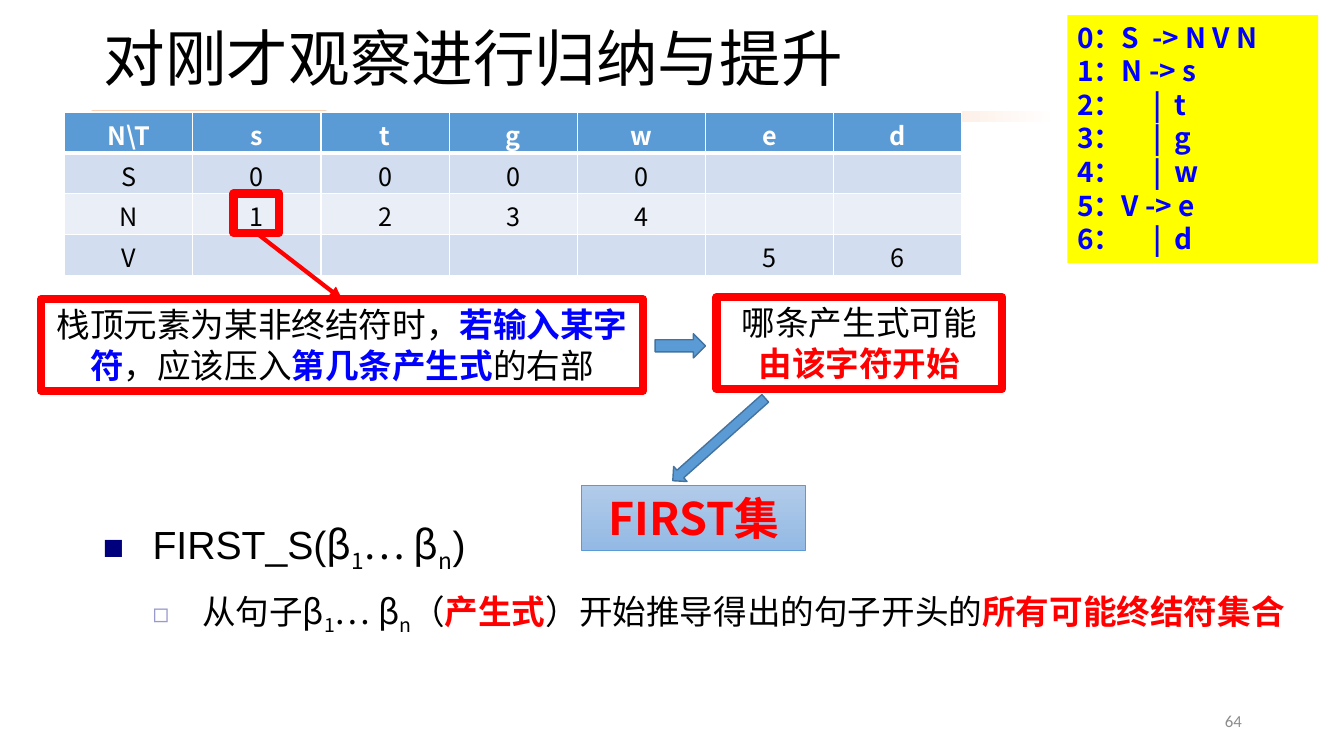
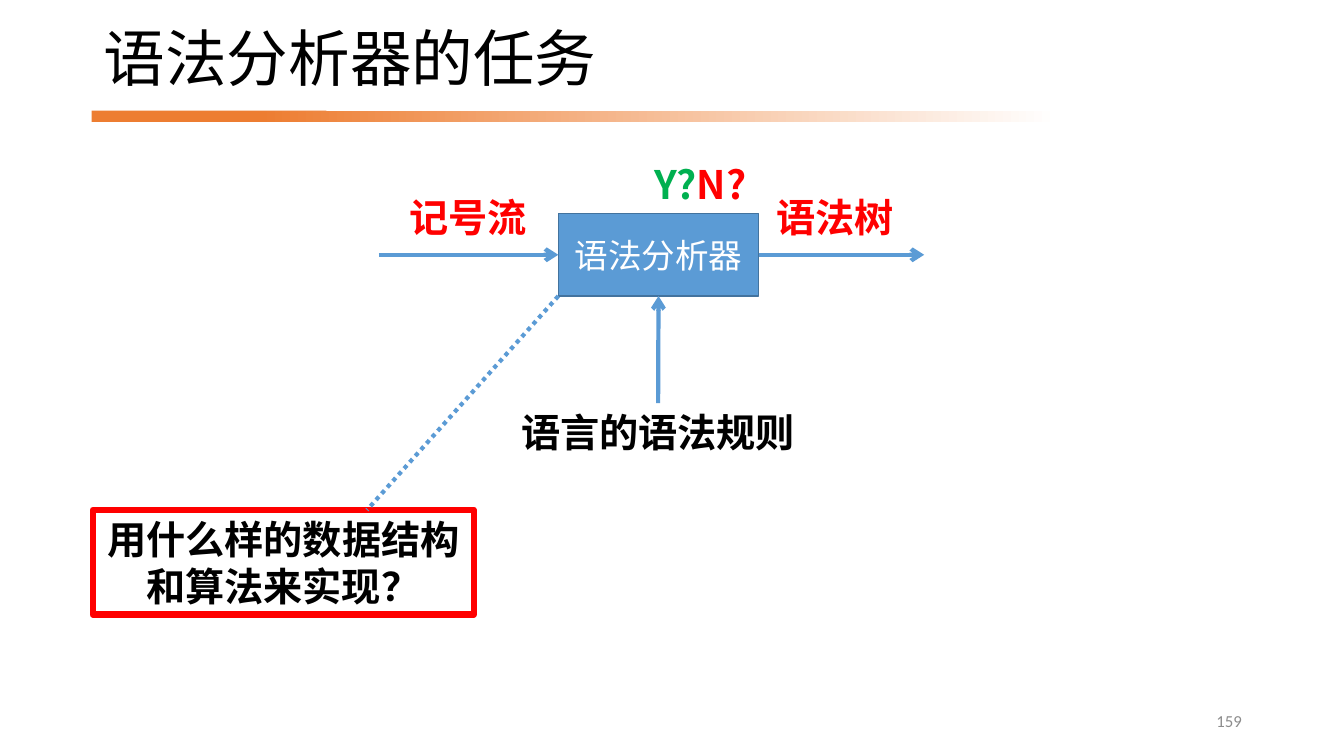
from lxml import etree
from pptx import Presentation
from pptx.dml.color import RGBColor
from pptx.enum.dml import MSO_LINE_DASH_STYLE as Dash
from pptx.enum.shapes import MSO_CONNECTOR, MSO_SHAPE as Preset
from pptx.enum.text import MSO_ANCHOR as Anchor, MSO_AUTO_SIZE as AutoSize, PP_ALIGN as Align
from pptx.oxml.ns import qn
from pptx.util import Cm, Pt

COLORS = {
    "black": "000000", "white": "FFFFFF", "red": "FF0000", "blue": "0000FF",
    "green": "00B050", "yellow": "FFFF00", "orange": "ED7D31", "gray": "8C8C8C",
    "accent": "5B9BD5", "accent_dark": "43739E", "row_dark": "D2DEEF", "row_light": "EAEFF7",
    "sky_top": "B1CBE9", "sky_bottom": "93B9E4", "navy": "00007D", "lavender": "9999CC",
}
RGB = {name: RGBColor.from_string(value) for name, value in COLORS.items()}
CJK = "Noto Sans CJK SC"


def write(paragraph, pieces, size, color="black", bold=False, font=CJK,
          align=Align.CENTER, spacing=None):
    """Fill a paragraph with (text, options) runs; options override the defaults."""
    paragraph.alignment = align
    paragraph.line_spacing = spacing or Pt(round(size * 1.2, 1))
    for text, options in pieces:
        run = paragraph.add_run()
        run.text = text
        run.font.size = Pt(size)
        run.font.bold = options.get("bold", bold)
        run.font.color.rgb = RGB[options.get("color", color)]
        run.font.name = options.get("font", font)
        properties = run.font._element
        etree.SubElement(properties, qn("a:ea")).set("typeface", CJK)
        if options.get("subscript"):
            properties.set("baseline", "-25000")


def add_box(slide, preset, place, fill=None, line=None, width=1):
    """Add a preset shape; a pair of fill colours makes a gradient."""
    shape = slide.shapes.add_shape(preset, *map(Cm, place))
    shape.shadow.inherit = False
    if isinstance(fill, tuple):
        shape.fill.gradient()
        for stop, color in zip(shape.fill.gradient_stops, fill):
            stop.color.rgb = RGB[color]
    elif fill:
        shape.fill.solid()
        shape.fill.fore_color.rgb = RGB[fill]
    else:
        shape.fill.background()
    if line:
        shape.line.color.rgb = RGB[line]
        shape.line.width = Pt(width)
    else:
        shape.line.fill.background()
    shape.text_frame.word_wrap = True
    shape.text_frame.vertical_anchor = Anchor.TOP
    return shape


presentation = Presentation()
presentation.slide_width, presentation.slide_height = Cm(33.87), Cm(19.05)

# Slides with title and number
slides = []
for layout_index, title_text, number in [
    (1, "对刚才观察进行归纳与提升", "64"),
    (5, "语法分析器的任务", "159"),
]:
    slide = presentation.slides.add_slide(presentation.slide_layouts[layout_index])
    title = slide.shapes.title
    title.left, title.top, title.width, title.height = map(Cm, (2.36, 0.43, 28.3, 2.26))
    title.text_frame.vertical_anchor = Anchor.MIDDLE
    write(title.text_frame.paragraphs[0], [(title_text, {})], 44, font="Arial",
          align=Align.LEFT, spacing=0.9)
    number_box = slide.shapes.add_textbox(*map(Cm, (23.93, 17.65, 7.62, 1.02)))
    number_box.text_frame.vertical_anchor = Anchor.MIDDLE
    number_box.text_frame.word_wrap = True
    write(number_box.text_frame.paragraphs[0], [(number, {})], 12, "gray",
          font="Calibri", align=Align.RIGHT)
    slides.append(slide)
first_set, parser_task = slides

# Title band, moved to the master behind its placeholders
solid_band = add_box(first_set, Preset.RECTANGLE, (2.31, 2.79, 5.92, 0.28), "orange")
fading_band = add_box(first_set, Preset.RECTANGLE, (6.53, 2.79, 20.12, 0.28), ("orange", "white"))
fading_band.fill.gradient_angle = 0
for position, band in enumerate((solid_band, fading_band), start=2):
    presentation.slide_master.shapes.element.insert(position, band.element)

# Slide 1: definition of the FIRST set
body = first_set.placeholders[1]
body.left, body.top, body.width, body.height = map(Cm, (2.34, 13.13, 30.89, 4.09))
body.text_frame.auto_size = AutoSize.NONE
beta_sequence = [("β", {}), ("1", {"subscript": True}), ("… β", {}), ("n", {"subscript": True})]
red_bold = {"color": "red", "bold": True}
blue_bold = {"color": "blue", "bold": True}
arial = {"font": "Arial"}
body_lines = [
    ([("FIRST_S(", arial), *beta_sequence, (")", arial)], 28, 34, 0, "■", "navy", 90),
    ([("从句子", arial), *beta_sequence, ("（", {}), ("产生式", red_bold), ("）", {}),
      ("开始推导得出的句子开头的", arial), ("所有可能终结符集合", red_bold)],
     24, 40, 5, "◻", "lavender", 80),
]
for level, (pieces, size, spacing, before, bullet, color, percent) in enumerate(body_lines):
    paragraph = body.text_frame.paragraphs[0] if level == 0 else body.text_frame.add_paragraph()
    paragraph.level = level
    paragraph.space_before = Pt(before)
    write(paragraph, pieces, size, align=Align.LEFT, spacing=Pt(spacing))
    properties = paragraph._p.get_or_add_pPr()
    properties.set("marL", str(Cm(1.25 * (level + 1))))
    properties.set("indent", str(-Cm(1.25)))
    bullet_color = etree.SubElement(properties, qn("a:buClr"))
    etree.SubElement(bullet_color, qn("a:srgbClr")).set("val", COLORS[color])
    etree.SubElement(properties, qn("a:buSzPct")).set("val", str(percent * 1000))
    etree.SubElement(properties, qn("a:buChar")).set("char", bullet)

# Slide 1: grammar
grammar = add_box(first_set, Preset.RECTANGLE, (26.9, 0.38, 6.32, 6.25), "yellow")
grammar.text_frame.text = """0：S  -> N V N
1：N -> s
2：     |  t
3：     |  g
4：     |  w
5：V -> e
6：     |  d"""
for paragraph in grammar.text_frame.paragraphs:
    rule = paragraph.text
    paragraph.clear()
    write(paragraph, [(rule, {})], 20, "blue", bold=True, align=Align.LEFT)

# Slide 1: parsing table
rows = [
    ["N\\T", "s", "t", "g", "w", "e", "d"],
    ["S", "0", "0", "0", "0", "", ""],
    ["N", "1", "2", "3", "4", "", ""],
    ["V", "", "", "", "", "5", "6"],
]
row_fills = ["accent", "row_dark", "row_light", "row_dark"]
column_width, row_height = 3.23, 1.03
table = first_set.shapes.add_table(
    len(rows), len(rows[0]), Cm(1.63), Cm(2.82),
    Cm(column_width * len(rows[0])), Cm(row_height * len(rows))).table
for column in table.columns:
    column.width = Cm(column_width)
for row_index, row in enumerate(rows):
    table.rows[row_index].height = Cm(row_height)
    header = row_index == 0
    for column_index, text in enumerate(row):
        cell = table.cell(row_index, column_index)
        cell.margin_top, cell.margin_bottom = Cm(0.26), Cm(0)
        write(cell.text_frame.paragraphs[0], [(text, {})] if text else [], 18,
              "white" if header else "black", bold=header)
        for side in ("L", "R", "T", "B"):
            thick = (header and side == "B") or (row_index == 1 and side == "T")
            border = etree.SubElement(cell._tc.get_or_add_tcPr(), qn(f"a:ln{side}"))
            border.set("w", str(Pt(3 if thick else 1)))
            border_fill = etree.SubElement(border, qn("a:solidFill"))
            etree.SubElement(border_fill, qn("a:srgbClr")).set("val", COLORS["white"])
        cell.fill.solid()
        cell.fill.fore_color.rgb = RGB[row_fills[row_index]]

# Slide 1: from table entry to FIRST set
entry_mark = add_box(first_set, Preset.RECTANGLE, (5.89, 4.88, 1.14, 0.99), line="red", width=6)
push_rule = add_box(first_set, Preset.RECTANGLE, (1.04, 7.54, 15.16, 2.31), line="red", width=6)
write(push_rule.text_frame.paragraphs[0], [
    ("栈顶元素为某非终结符时，", {}), ("若输入某字符", blue_bold), ("，应该压入", {}),
    ("第几条产生式", blue_bold), ("的右部", {})], 24)
add_box(first_set, Preset.RIGHT_ARROW, (16.51, 8.41, 1.27, 0.61), "accent", "accent_dark")
start_rule = add_box(first_set, Preset.RECTANGLE, (18.06, 7.49, 7.19, 2.31), line="red", width=6)
write(start_rule.text_frame.paragraphs[0],
      [("哪条产生式可能", {}), ("由该字符开始", red_bold)], 24)
first_box = add_box(first_set, Preset.RECTANGLE, (14.66, 12.24, 5.64, 1.63),
                    ("sky_top", "sky_bottom"), "accent", 0.5)
first_box.fill.gradient_angle = 270
write(first_box.text_frame.paragraphs[0], [("FIRST集", {})], 32, "red", bold=True)
down_arrow = add_box(first_set, Preset.RIGHT_ARROW, (16.56, 10.82, 3.12, 0.51),
                     "accent", "accent_dark")
down_arrow.rotation = 138.3

# Slide 2: parser, its labels and the question
parser = add_box(parser_task, Preset.RECTANGLE, (14.07, 5.38, 5.05, 2.08),
                 "accent", "accent_dark")
parser.text_frame.vertical_anchor = Anchor.MIDDLE
write(parser.text_frame.paragraphs[0], [("语法分析器", {})], 24, "white")
labels = []
for place, wrap, pieces in [
    ((9.88, 4.75, 3.84, 1.45), True, [("记号流", {"color": "red"})]),
    ((19.12, 4.75, 3.84, 1.45), True, [("语法树", {"color": "red"})]),
    ((16.18, 3.91, 2.95, 1.45), False, [("Y?", {"color": "green"}), ("N?", {"color": "red"})]),
    ((12.75, 10.16, 7.67, 1.45), True, [("语言的语法规则", {})]),
]:
    label = parser_task.shapes.add_textbox(*map(Cm, place))
    label.text_frame.word_wrap = wrap
    write(label.text_frame.paragraphs[0], pieces, 28, bold=True)
    labels.append(label)
grammar_label = labels[-1]
question = add_box(parser_task, Preset.RECTANGLE, (2.34, 12.85, 9.6, 2.64), line="red", width=4.5)
write(question.text_frame.paragraphs[0], [("用什么样的数据结构和算法来实现？", {})], 28, bold=True)

# Connectors: ends in cm, joined shapes with their sites, colour, arrowhead
for slide, ends, begin, end, color, head in [
    (first_set, (6.46, 5.87, 8.62, 7.54), (entry_mark, 2), (push_rule, 0), "red", "triangle"),
    (parser_task, (9.55, 6.42, 14.07, 6.42), None, (parser, 1), "accent", "arrow"),
    (parser_task, (19.12, 6.42, 23.29, 6.42), (parser, 3), None, "accent", "arrow"),
    (parser_task, (16.59, 10.16, 16.59, 7.46), (grammar_label, 0), (parser, 2), "accent", "arrow"),
    (parser_task, (14.07, 7.46, 9.25, 12.85), None, None, "accent", None),
]:
    connector = slide.shapes.add_connector(MSO_CONNECTOR.STRAIGHT, *map(Cm, ends))
    if begin:
        connector.begin_connect(*begin)
    if end:
        connector.end_connect(*end)
    connector.line.color.rgb = RGB[color]
    connector.line.width = Pt(3)
    if head:
        line_element = connector.line._get_or_add_ln()
        etree.SubElement(line_element, qn("a:tailEnd")).set("type", head)
    else:
        connector.line.dash_style = Dash.ROUND_DOT
    etree.SubElement(connector.element.spPr, qn("a:effectLst"))

presentation.save("out.pptx")
